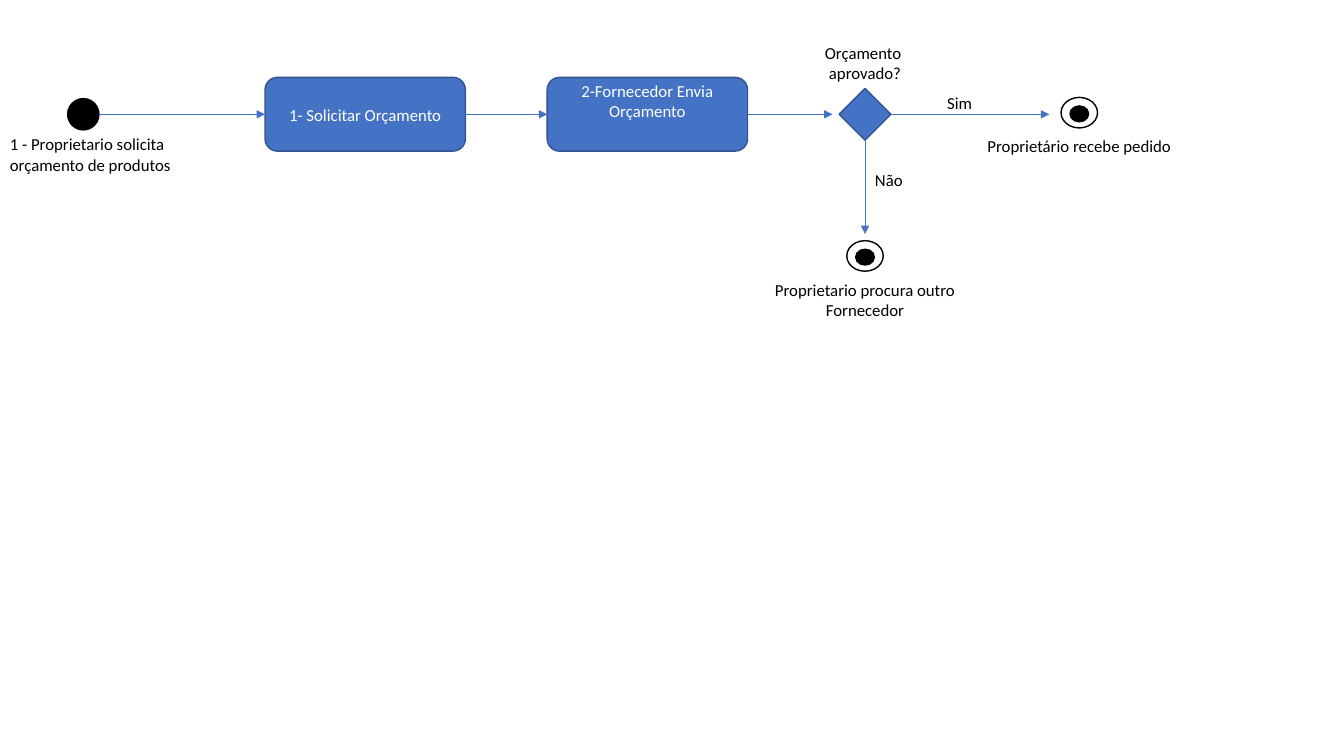
"""Build a flow diagram of a quote request between owner and supplier."""
from lxml import etree
from pptx import Presentation
from pptx.dml.color import RGBColor
from pptx.enum.shapes import MSO_CONNECTOR, MSO_SHAPE
from pptx.enum.text import MSO_ANCHOR, MSO_AUTO_SIZE, PP_ALIGN
from pptx.oxml.ns import qn
from pptx.util import Cm, Pt

OVAL, DIAMOND, ROUNDED = MSO_SHAPE.OVAL, MSO_SHAPE.DIAMOND, MSO_SHAPE.ROUNDED_RECTANGLE
STRAIGHT = MSO_CONNECTOR.STRAIGHT
LEFT, CENTER = PP_ALIGN.LEFT, PP_ALIGN.CENTER
TOP, MIDDLE = MSO_ANCHOR.TOP, MSO_ANCHOR.MIDDLE
NO_FIT = MSO_AUTO_SIZE.NONE
FIT = MSO_AUTO_SIZE.SHAPE_TO_FIT_TEXT

COLORS = {"blue": "4472C4", "border": "325491", "black": "000000", "white": "FFFFFF"}
FONT, SIZE = "Calibri", 12
AXIS = 2.88
START_X, START_D = 2.1, 0.79
DECISION_X, DECISION_D = 21.8, 1.3
STEP_W, STEP_H = 5.05, 1.86
RING, DOT, DOT_DROP = (0.92, 0.77), (0.47, 0.4), 0.03
GAP = 0.17

STEPS = [
    (6.68, "1- Solicitar Orçamento", MIDDLE, 0.13),
    (13.79, "2-Fornecedor Envia Orçamento", TOP, 0),
]
ENDS = [(DECISION_X, 6.45), (27.2, 2.84)]
LABELS = [
    (["1 - Proprietario solicita ", "orçamento de produtos"], 0, 3.25, 4.6, LEFT),
    (["Orçamento ", "aprovado?"], DECISION_X - 1.29, 0.94, 2.58, CENTER),
    (["Sim"], 23.62, 2.21, 1.14, LEFT),
    (["Não"], DECISION_X, 4.14, 1.22, LEFT),
    (["Proprietario procura outro", "Fornecedor"], DECISION_X - 2.54, 6.91, 5.08, CENTER),
    (["Proprietário recebe pedido"], 24.61, 3.3, 5.18, CENTER),
]


def color(name):
    return RGBColor.from_string(COLORS[name])


def write(sp, lines, ink="black", align=LEFT, anchor=TOP, wrap=True, fit=NO_FIT, top=0.13):
    tf = sp.text_frame
    tf.word_wrap, tf.auto_size, tf.vertical_anchor = wrap, fit, anchor
    tf.margin_top = Cm(top)
    for i, line in enumerate(lines):
        p = tf.add_paragraph() if i else tf.paragraphs[0]
        p.alignment = align
        r = p.add_run()
        r.text = line
        r.font.name, r.font.size = FONT, Pt(SIZE)
        r.font.color.rgb = color(ink)


def node(kind, x, y, w, h, fill, line):
    sp = s.shapes.add_shape(kind, Cm(x - w / 2), Cm(y - h / 2), Cm(w), Cm(h))
    sp.shadow.inherit = False
    sp.fill.solid()
    sp.fill.fore_color.rgb = color(fill)
    sp.line.color.rgb = color(line)
    sp.line.width = Pt(1)
    return sp


def arrow(x1, y1, x2, y2):
    cn = s.shapes.add_connector(STRAIGHT, Cm(x1), Cm(y1), Cm(x2), Cm(y2))
    cn.line.color.rgb = color("blue")
    cn.line.width = Pt(0.5)
    etree.SubElement(cn.line._get_or_add_ln(), qn("a:tailEnd"), type="triangle")
    etree.SubElement(cn._element.spPr, qn("a:effectLst"))


prs = Presentation()
prs.slide_width, prs.slide_height = Cm(33.87), Cm(19.05)
s = prs.slides.add_slide(prs.slide_layouts[6])

node(OVAL, START_X, AXIS, START_D, START_D, "black", "black")
tail = START_X + START_D / 2
for left, text, anchor, top in STEPS:
    sp = node(ROUNDED, left + STEP_W / 2, AXIS, STEP_W, STEP_H, "blue", "border")
    write(sp, [text], ink="white", align=CENTER, anchor=anchor, top=top)
    arrow(tail, AXIS, left, AXIS)
    tail = left + STEP_W

half = DECISION_D / 2
node(DIAMOND, DECISION_X, AXIS, DECISION_D, DECISION_D, "blue", "border")
arrow(tail, AXIS, DECISION_X - half - GAP, AXIS)
arrow(DECISION_X + half, AXIS, 26.44, AXIS)
arrow(DECISION_X, AXIS + half, DECISION_X, ENDS[0][1] - RING[1] / 2 - GAP)

for x, y in ENDS:
    node(OVAL, x, y, *RING, "white", "black")
    node(OVAL, x, y + DOT_DROP, *DOT, "black", "black")

for lines, left, top, width, align in LABELS:
    height = 0.25 + 0.51 * len(lines)
    tb = s.shapes.add_textbox(Cm(left), Cm(top), Cm(width), Cm(height))
    write(tb, lines, align=align, wrap=False, fit=FIT)

prs.save("out.pptx")
